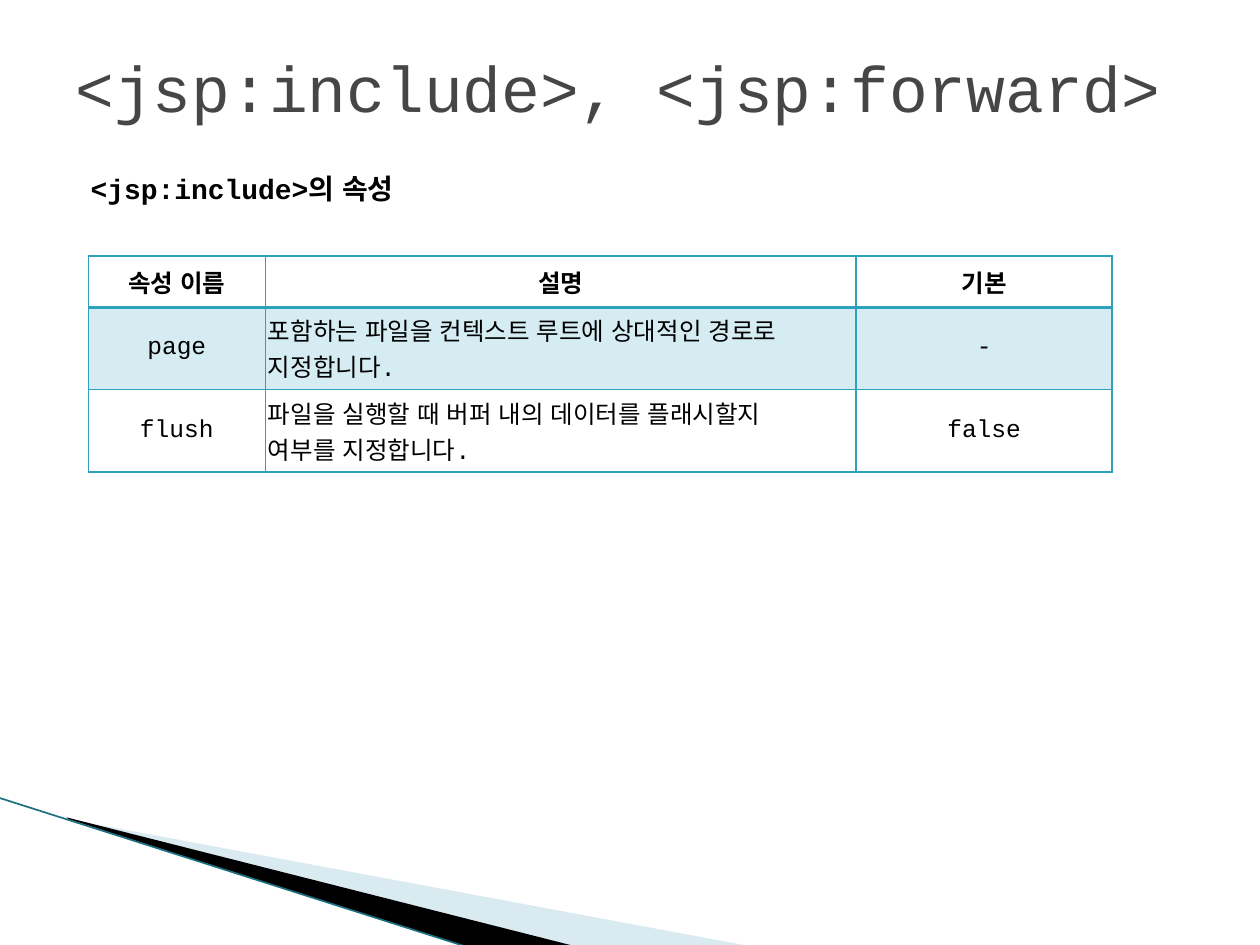
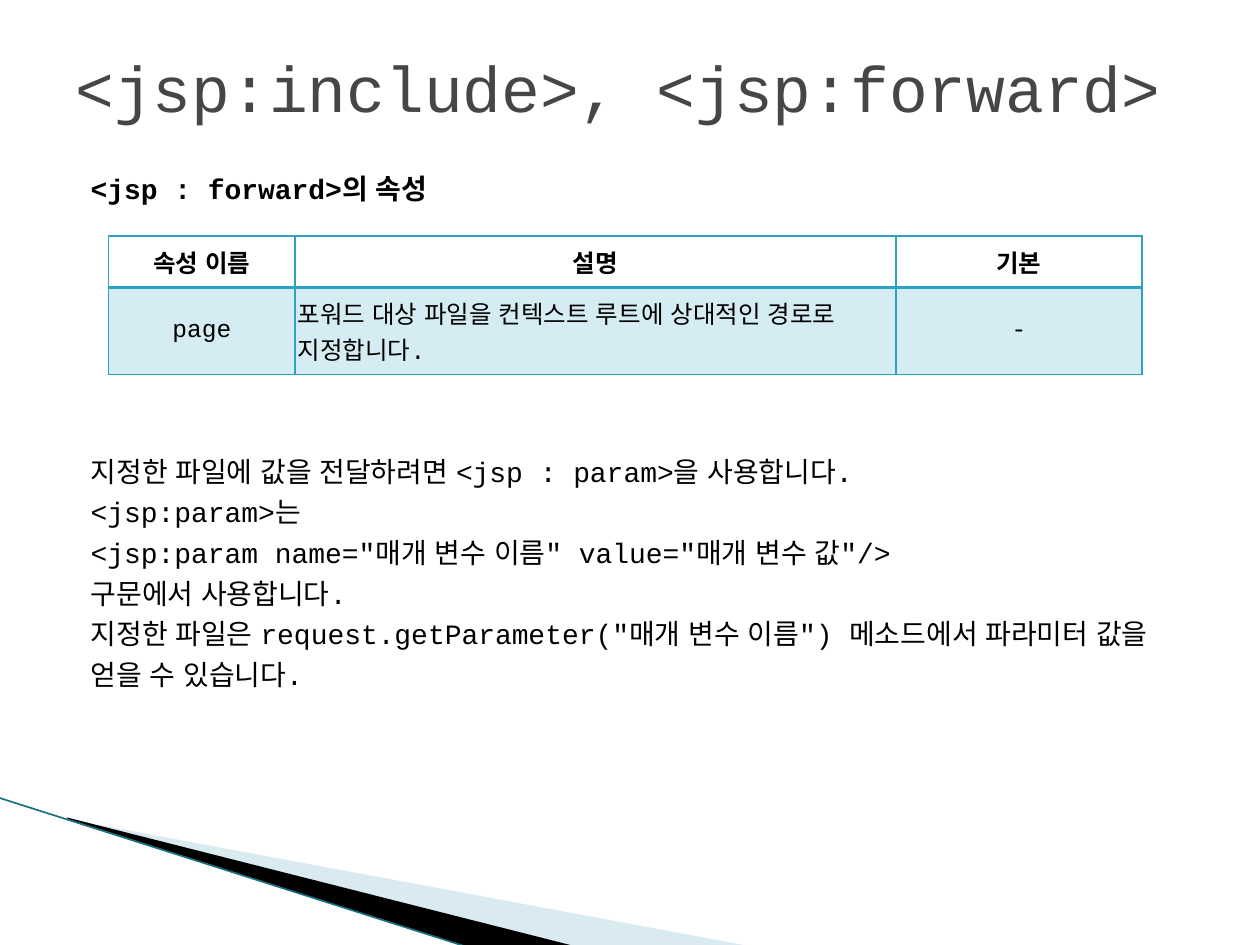
import pptx
import pptx.util
import pptx.dml.color
import pptx.enum.lang
import pptx.enum.shapes
import pptx.enum.text
import pptx.oxml.ns
from lxml import etree

Cm = pptx.util.Cm
Pt = pptx.util.Pt
ALIGN = pptx.enum.text.PP_ALIGN
MIDDLE = pptx.enum.text.MSO_ANCHOR.MIDDLE
KOREAN = pptx.enum.lang.MSO_LANGUAGE_ID.KOREAN
qn = pptx.oxml.ns.qn

COLORS = {
    "text": "000000",
    "title": "464646",
    "accent": "2DA2BF",
    "pale": "A0CBDC",
    "edge": "1B6F82",
    "black": "000000",
    "white": "FFFFFF",
}
FONT = "Courier New"
TITLE = "<jsp:include>, <jsp:forward>"
HEADER = ["속성 이름", "설명", "기본"]
WEDGES = [
    ("pale", 40, [(1.4, 16.52), (15.15, 19.08), (11.58, 19.08), (1.4, 16.51)]),
    ("black", 100, [(1.35, 16.48), (11.61, 19.08), (9.45, 19.1), (1.37, 16.51)]),
]
PARAM_NOTES = [
    "지정한 파일에 값을 전달하려면 <jsp : param>을 사용합니다.",
    "<jsp:param>는",
    '<jsp:param name="매개 변수 이름" value="매개 변수 값"/>',
    "구문에서 사용합니다.",
    '지정한 파일은 request.getParameter("매개 변수 이름") 메소드에서 파라미터 값을',
    "얻을 수 있습니다.",
]


def rgb(name):
    return pptx.dml.color.RGBColor.from_string(COLORS[name])


def set_fill(fill, parent, name, opacity=100):
    fill.solid()
    fill.fore_color.rgb = rgb(name)
    if opacity < 100:
        color = parent.find(qn("a:solidFill") + "/" + qn("a:srgbClr"))
        etree.SubElement(color, qn("a:alpha"), val=str(opacity * 1000))


def set_font(p, size, color="text", bold=False):
    p.font.name = FONT
    p.font.size = Pt(size)
    p.font.bold = bold
    p.font.color.rgb = rgb(color)
    for r in p.runs:
        r.font.language_id = KOREAN


def add_wedge(slide, color, opacity, points):
    points = [(Cm(x), Cm(y)) for x, y in points]
    builder = slide.shapes.build_freeform(*points[0], scale=1.0)
    builder.add_line_segments(points[1:], close=True)
    sp = builder.convert_to_shape()
    sp.shadow.inherit = False
    sp.line.fill.background()
    set_fill(sp.fill, sp._element.spPr, color, opacity)


def add_decoration(slide):
    for wedge in WEDGES:
        add_wedge(slide, *wedge)
    line = slide.shapes.add_connector(
        pptx.enum.shapes.MSO_CONNECTOR.STRAIGHT,
        Cm(-0.03), Cm(16.08), Cm(9.45), Cm(19.1))
    line.line.color.rgb = rgb("edge")
    line.line.width = Pt(0.95)
    etree.SubElement(line._element.spPr, qn("a:effectLst"))


def add_text_box(slide, top, height):
    sp = slide.shapes.add_textbox(Cm(1.27), Cm(top), Cm(22.86), Cm(height))
    tf = sp.text_frame
    tf.word_wrap = True
    return tf


def add_title(slide):
    tf = add_text_box(slide, 0.76, 1.96)
    tf.vertical_anchor = MIDDLE
    p = tf.paragraphs[0]
    p.text = TITLE
    set_font(p, 36.9, "title")


def add_body(slide, heading, notes=()):
    tf = add_text_box(slide, 3.33, 14.81)
    for i, text in enumerate([heading, *notes]):
        p = tf.paragraphs[0] if i == 0 else tf.add_paragraph()
        p.text = text
        set_font(p, 16, bold=i == 0)
        p.space_before = Pt(142.5 if i == 1 else 4)
        pPr = p._p.get_or_add_pPr()
        pPr.set("marL", str(Cm(1.02)))
        pPr.set("indent", str(Cm(-0.71)))


def set_borders(tcPr, widths):
    for i, (side, width) in enumerate(zip("LRTB", widths)):
        ln = etree.Element(qn("a:ln" + side), w=str(Pt(width)))
        solid = etree.SubElement(ln, qn("a:solidFill"))
        etree.SubElement(solid, qn("a:srgbClr"), val=COLORS["accent"])
        tcPr.insert(i, ln)


def fill_cell(cell, text, row, col):
    cell.margin_left = cell.margin_right = Cm(0.05)
    cell.margin_top = cell.margin_bottom = Cm(0.05)
    cell.vertical_anchor = MIDDLE
    cell.text_frame.text = text
    for p in cell.text_frame.paragraphs:
        set_font(p, 14, bold=row == 0)
        p.alignment = ALIGN.LEFT if row and col == 1 else ALIGN.CENTER
    tcPr = cell._tc.get_or_add_tcPr()
    if row % 2:
        set_fill(cell.fill, tcPr, "accent", 20)
    else:
        set_fill(cell.fill, tcPr, "white")
    set_borders(tcPr, [1, 1, 2 if row == 1 else 1, 2 if row == 0 else 1])


def add_attribute_table(slide, left, top, widths, heights, rows):
    frame = slide.shapes.add_table(
        len(heights), len(widths), Cm(left), Cm(top),
        Cm(sum(widths)), Cm(sum(heights)))
    table = frame.table
    table.first_row = table.horz_banding = False
    for column, width in zip(table.columns, widths):
        column.width = Cm(width)
    for row, height in zip(table.rows, heights):
        row.height = Cm(height)
    for r, texts in enumerate([HEADER, *rows]):
        for c, text in enumerate(texts):
            fill_cell(table.cell(r, c), text, r, c)


def add_slide(prs, heading, notes=()):
    slide = prs.slides.add_slide(prs.slide_layouts[6])
    add_decoration(slide)
    add_body(slide, heading, notes)
    add_title(slide)
    return slide


def main():
    prs = pptx.Presentation()
    prs.slide_width, prs.slide_height = Cm(25.4), Cm(19.05)

    slide = add_slide(prs, "<jsp:include>의 속성")
    add_attribute_table(
        slide, 1.78, 5.16, [3.57, 11.91, 5.16], [1.03, 1.66, 1.66],
        [["page", "포함하는 파일을 컨텍스트 루트에 상대적인 경로로\n지정합니다.", "-"],
         ["flush", "파일을 실행할 때 버퍼 내의 데이터를 플래시할지\n여부를 지정합니다.", "false"]])

    slide = add_slide(prs, "<jsp : forward>의 속성", PARAM_NOTES)
    add_attribute_table(
        slide, 2.19, 4.76, [3.76, 12.11, 4.96], [1.04, 1.75],
        [["page", "포워드 대상 파일을 컨텍스트 루트에 상대적인 경로로 지정합니다.", "-"]])

    prs.save("out.pptx")


main()
